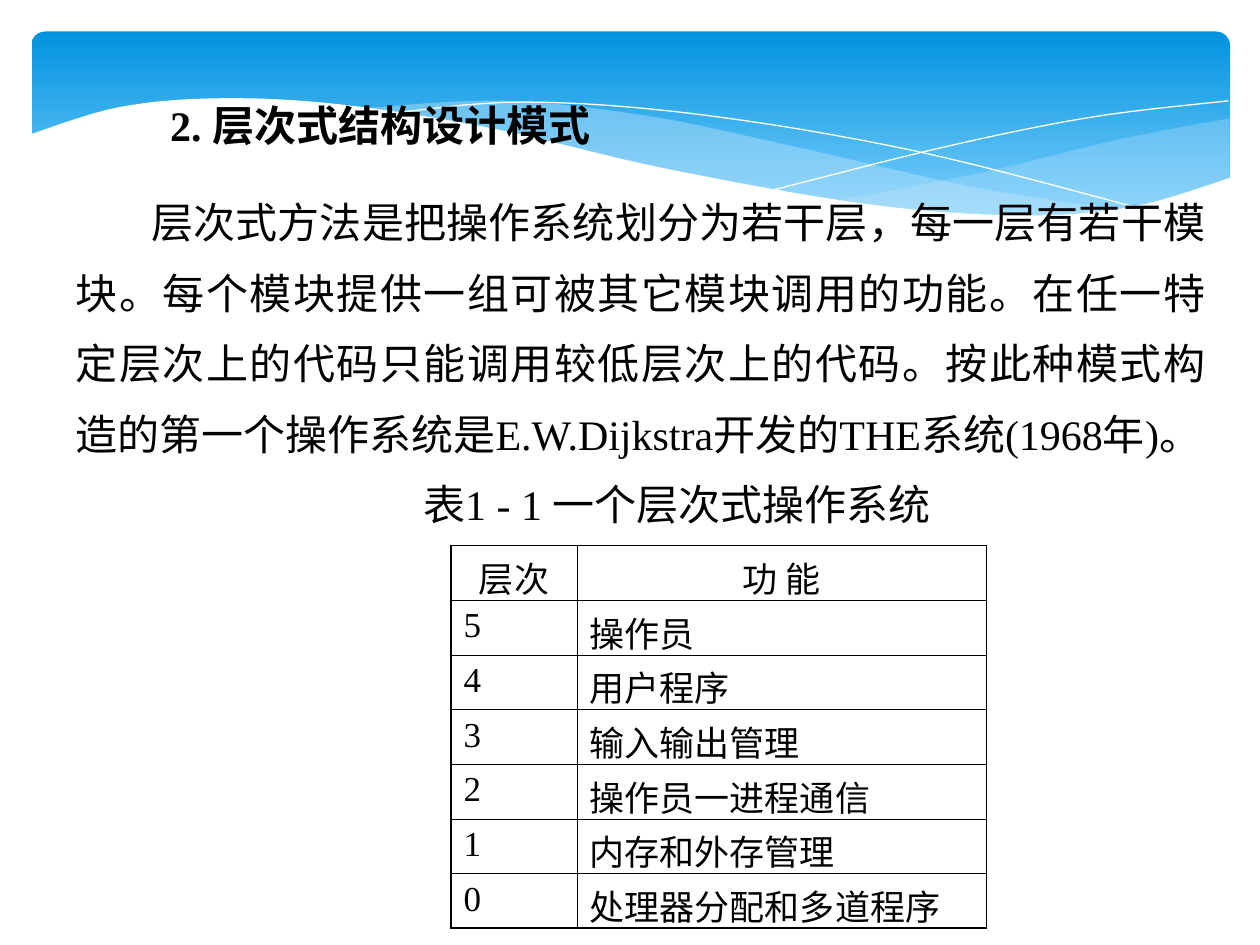
from dataclasses import dataclass
from itertools import chain
from typing import Optional

from lxml.etree import SubElement
from pptx import Presentation
from pptx.dml.color import RGBColor
from pptx.enum.shapes import MSO_SHAPE
from pptx.enum.text import MSO_ANCHOR, MSO_AUTO_SIZE, PP_ALIGN
from pptx.oxml.ns import qn
from pptx.util import Inches, Pt

Point = tuple[float, float]
Edge = tuple[Point, ...]


@dataclass(frozen=True)
class Theme:
    font: str = "Times New Roman"
    text: str = "000000"
    paper: str = "FFFFFF"
    banner_top: str = "0293E0"
    banner_bottom: str = "83D3FE"
    wave: str = "C6E7FC"
    body_size: float = 24
    table_size: float = 20
    outer_border: float = 1.08
    inner_border: float = 0.45


@dataclass(frozen=True)
class Wave:
    edges: tuple[Edge, ...]
    fill: Optional[str] = None
    opacity: int = 100


@dataclass(frozen=True)
class Layer:
    level: str
    function: str


THEME = Theme()
CURVE_STEPS = 8

WAVES = (
    Wave((
        ((9.76, 0.94), (8.91, 1.1), (7.79, 1.37), (6.61, 1.6)),
        ((6.61, 1.6), (7.45, 1.69), (8.24, 1.72), (9.05, 1.63), (9.76, 1.41)),
    ), THEME.wave, 29),
    Wave((
        ((8.93, 1.67), (7.75, 1.49), (6.29, 1.16), (5.14, 0.92), (3.99, 0.8), (2.86, 0.86)),
        ((2.86, 0.86), (4.04, 1.06), (5.66, 1.43), (6.95, 1.65), (8.07, 1.73), (8.93, 1.67)),
    ), THEME.wave, 40),
    Wave((((3.09, 0.9), (4.16, 0.81), (5.56, 0.91), (7.27, 1.2), (9.07, 1.66)),)),
    Wave((((6.13, 1.51), (7.48, 1.17), (8.66, 0.93), (9.75, 0.8)),)),
    Wave((
        ((9.77, 1.41), (8.99, 1.64), (8.09, 1.71), (6.88, 1.62), (5.29, 1.34),
         (3.91, 1.02), (2.71, 0.83), (1.76, 0.78), (0.95, 0.85), (0.23, 1.07)),
        ((0.23, 2.24), (9.77, 2.24)),
    ), THEME.paper),
)

HEADING = "2. 层次式结构设计模式"
BODY = (
    "层次式方法是把操作系统划分为若干层，每一层有若干模块。"
    "每个模块提供一组可被其它模块调用的功能。"
    "在任一特定层次上的代码只能调用较低层次上的代码。"
    "按此种模式构造的第一个操作系统是E.W.Dijkstra开发的THE系统(1968年)。"
)
CAPTION = "表1 - 1 一个层次式操作系统"
LAYERS = (
    Layer("层次", "功 能"),
    Layer("5", "操作员"),
    Layer("4", "用户程序"),
    Layer("3", "输入输出管理"),
    Layer("2", "操作员一进程通信"),
    Layer("1", "内存和外存管理"),
    Layer("0", "处理器分配和多道程序"),
)


def color(value: str) -> RGBColor:
    return RGBColor.from_string(value)


def format_runs(paragraph, size: float, bold: bool = False) -> None:
    for run in paragraph.runs:
        run.font.name = THEME.font
        run.font.size = Pt(size)
        run.font.bold = bold
        run.font.color.rgb = color(THEME.text)


def place(shape, left: float, top: float, width: float, height: float) -> None:
    shape.left, shape.top = Inches(left), Inches(top)
    shape.width, shape.height = Inches(width), Inches(height)


def draw_banner(slide) -> None:
    banner = slide.shapes.add_shape(MSO_SHAPE.ROUNDED_RECTANGLE, 0, 0, 0, 0)
    place(banner, 0.25, 0.25, 9.51, 1.56)
    banner.adjustments[0] = 0.07
    banner.shadow.inherit = False
    banner.line.fill.background()
    banner.fill.gradient()
    banner.fill.gradient_angle = 270
    for stop, value in zip(banner.fill.gradient_stops, (THEME.banner_top, THEME.banner_bottom)):
        stop.color.rgb = color(value)


def spline(before: float, start: float, end: float, after: float, t: float) -> float:
    slope = end - before
    bend = 2 * before - 5 * start + 4 * end - after
    twist = 3 * (start - end) + after - before
    return start + (slope * t + bend * t ** 2 + twist * t ** 3) / 2


def smooth(edge: Edge) -> list[Point]:
    knots = (edge[0], *edge, edge[-1])
    points = [edge[0]]
    for window in zip(knots, knots[1:], knots[2:], knots[3:]):
        for step in range(1, CURVE_STEPS + 1):
            x, y = (spline(*axis, step / CURVE_STEPS) for axis in zip(*window))
            points.append((x, y))
    return points


def draw_wave(slide, wave: Wave) -> None:
    points = chain.from_iterable(smooth(edge) for edge in wave.edges)
    start, *rest = [(Inches(x), Inches(y)) for x, y in points]
    builder = slide.shapes.build_freeform(*start)
    builder.add_line_segments(rest, close=wave.fill is not None)
    shape = builder.convert_to_shape()
    shape.shadow.inherit = False
    if wave.fill is None:
        shape.fill.background()
        shape.line.color.rgb = color(THEME.paper)
        shape.line.width = Pt(0)
        return
    shape.line.fill.background()
    shape.fill.solid()
    shape.fill.fore_color.rgb = color(wave.fill)
    if wave.opacity < 100:
        fill_color = shape.element.spPr.find(f"{qn('a:solidFill')}/{qn('a:srgbClr')}")
        SubElement(fill_color, qn("a:alpha"), val=str(wave.opacity * 1000))


def fill_placeholder(placeholder, text: str, top: float, height: float,
                     indent: float, bold: bool) -> None:
    place(placeholder, 0.5, top, 9.17, height)
    placeholder.element.getparent().append(placeholder.element)
    frame = placeholder.text_frame
    frame.text = text
    frame.word_wrap = True
    frame.auto_size = MSO_AUTO_SIZE.NONE
    frame.vertical_anchor = MSO_ANCHOR.TOP
    paragraph = frame.paragraphs[0]
    properties = paragraph._p.get_or_add_pPr()
    properties.set("marL", "0")
    properties.set("indent", str(Inches(indent)))
    SubElement(properties, qn("a:buNone"))
    paragraph.alignment = PP_ALIGN.JUSTIFY
    paragraph.line_spacing = 1.4
    paragraph.space_before = Pt(0)
    format_runs(paragraph, THEME.body_size, bold)


def draw_caption(slide) -> None:
    caption = slide.shapes.add_textbox(Inches(3.26), Inches(3.75), Inches(4.46), Inches(0.5))
    caption.text_frame.text = CAPTION
    caption.text_frame.word_wrap = False
    format_runs(caption.text_frame.paragraphs[0], THEME.body_size)


def add_border(cell, side: str, outer: bool) -> None:
    width = THEME.outer_border if outer else THEME.inner_border
    line = SubElement(cell._tc.get_or_add_tcPr(), qn(f"a:ln{side}"), w=str(Pt(width)))
    fill = SubElement(line, qn("a:solidFill"))
    SubElement(fill, qn("a:srgbClr"), val=THEME.text)


def draw_table(slide) -> None:
    last = len(LAYERS) - 1
    table = slide.shapes.add_table(len(LAYERS), 2, Inches(3.58), Inches(4.33),
                                   Inches(4.25), Inches(0.43 * len(LAYERS))).table
    table.first_row = table.horz_banding = False
    for column, width in zip(table.columns, (1, 3.25)):
        column.width = Inches(width)
    for row, layer in enumerate(LAYERS):
        for column, text in enumerate((layer.level, layer.function)):
            cell = table.cell(row, column)
            cell.text_frame.text = text
            paragraph = cell.text_frame.paragraphs[0]
            paragraph.alignment = PP_ALIGN.CENTER if row == 0 else PP_ALIGN.LEFT
            format_runs(paragraph, THEME.table_size)
            outer_sides = zip("LRTB", (column == 0, column == 1, row == 0, row == last))
            for side, outer in outer_sides:
                add_border(cell, side, outer)
            cell.fill.background()


def main() -> None:
    presentation = Presentation()
    presentation.slide_width, presentation.slide_height = Inches(10), Inches(7.5)
    slide = presentation.slides.add_slide(presentation.slide_layouts[1])
    draw_banner(slide)
    for wave in WAVES:
        draw_wave(slide, wave)
    fill_placeholder(slide.shapes.title, HEADING, 0.58, 0.77, 0.75, True)
    fill_placeholder(slide.placeholders[1], BODY, 1.35, 2.9, 0.6, False)
    draw_caption(slide)
    draw_table(slide)
    presentation.save("out.pptx")


if __name__ == "__main__":
    main()
